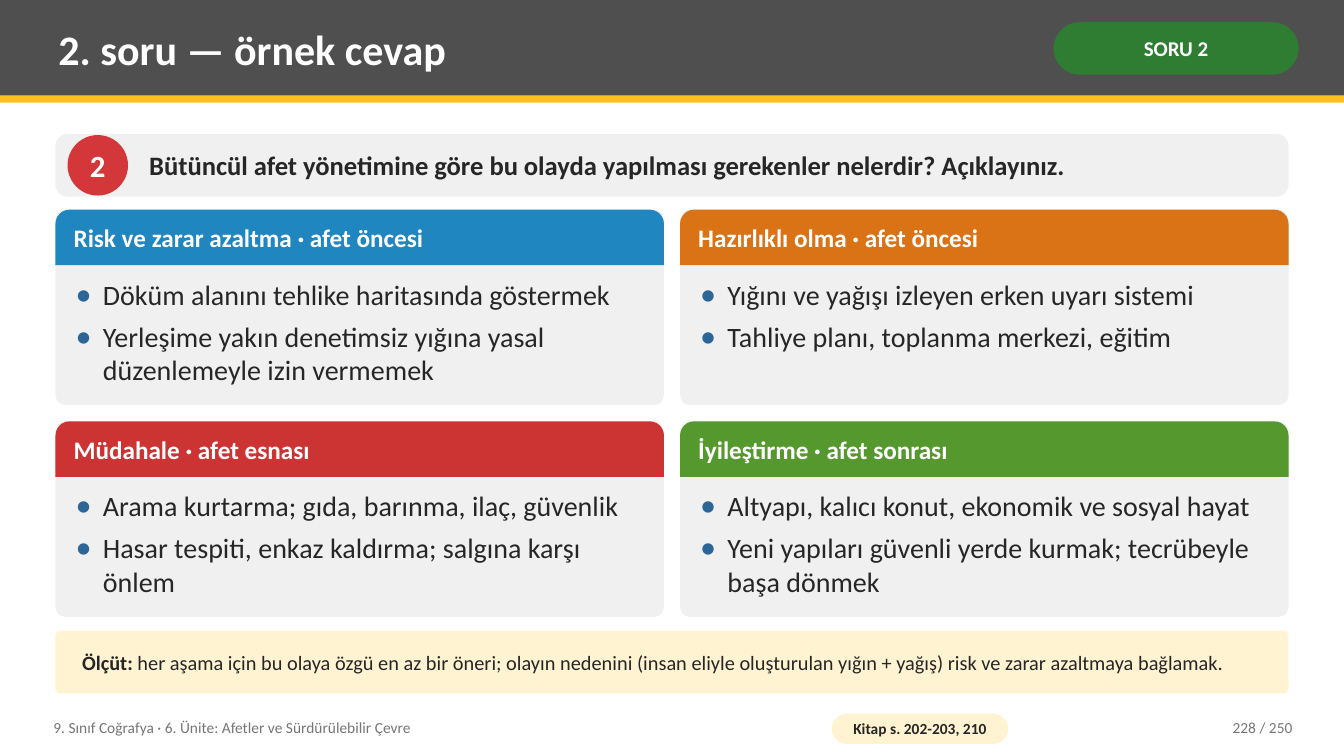
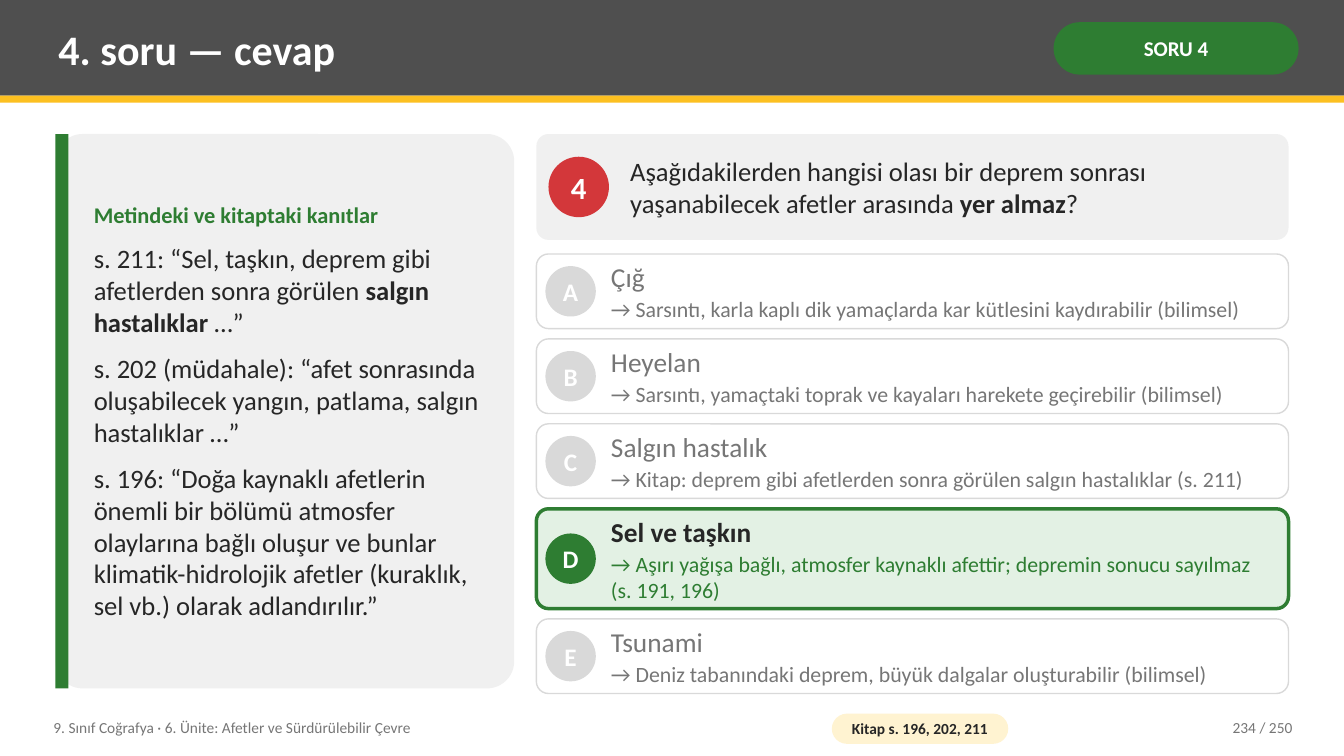
from lxml import etree
from pptx import Presentation
from pptx.dml.color import RGBColor
from pptx.enum.shapes import MSO_SHAPE
from pptx.enum.text import MSO_ANCHOR, MSO_AUTO_SIZE, PP_ALIGN
from pptx.oxml.ns import qn
from pptx.util import Inches, Pt

RECT, ROUNDED = MSO_SHAPE.RECTANGLE, MSO_SHAPE.ROUNDED_RECTANGLE
TAB, CIRCLE = MSO_SHAPE.ROUND_2_SAME_RECTANGLE, MSO_SHAPE.OVAL
LEFT, CENTER, RIGHT = PP_ALIGN.LEFT, PP_ALIGN.CENTER, PP_ALIGN.RIGHT
TOP, MIDDLE = MSO_ANCHOR.TOP, MSO_ANCHOR.MIDDLE
NO_AUTOFIT = MSO_AUTO_SIZE.NONE

FONT = "Calibri"
WHITE = RGBColor(0xFF, 0xFF, 0xFF)
INK = RGBColor(0x26, 0x26, 0x26)
MUTED = RGBColor(0x76, 0x76, 0x76)
BAND = RGBColor(0x4F, 0x4F, 0x4F)
YELLOW = RGBColor(0xFC, 0xC0, 0x21)
CREAM = RGBColor(0xFF, 0xF3, 0xD1)
PANEL = RGBColor(0xF0, 0xF0, 0xF0)
OUTLINE = RGBColor(0xD9, 0xD9, 0xD9)
GREEN = RGBColor(0x2E, 0x7D, 0x32)
PALE_GREEN = RGBColor(0xE3, 0xF1, 0xE4)
RED = RGBColor(0xD3, 0x37, 0x3A)
BULLET = RGBColor(0x2C, 0x66, 0x96)
MITIGATION = RGBColor(0x1F, 0x86, 0xBF)
PREPARATION = RGBColor(0xD9, 0x73, 0x16)
RESPONSE = RGBColor(0xCC, 0x33, 0x33)
RECOVERY = RGBColor(0x55, 0x99, 0x2E)

SLIDE_W, SLIDE_H = 13.33, 7.5
MARGIN, CONTENT_TOP, CONTENT_W = 0.55, 1.33, 12.23
TITLE_AND_BODY, TITLE_AND_FOUR_BODIES = 1, 4
UNIT = "9. Sınıf Coğrafya · 6. Ünite: Afetler ve Sürdürülebilir Çevre"


def set_bullet(paragraph, bulleted):
    """Give a paragraph a round bullet with a hanging indent, or none."""
    props = paragraph._p.get_or_add_pPr()
    indent = Inches(0.27) if bulleted else 0
    props.set("marL", str(indent))
    props.set("indent", str(-indent))
    if not bulleted:
        etree.SubElement(props, qn("a:buNone"))
        return
    color = etree.SubElement(props, qn("a:buClr"))
    etree.SubElement(color, qn("a:srgbClr"), val=str(BULLET))
    etree.SubElement(props, qn("a:buSzPct"), val="115000")
    etree.SubElement(props, qn("a:buFont"), typeface=FONT)
    etree.SubElement(props, qn("a:buChar"), char="•")


def write(shape, *paragraphs, size, color=INK, bold=False, align=LEFT,
          anchor=MIDDLE, insets=(0.08, 0.04), gap=0, wrap=True, bulleted=False):
    """Fill a shape with text; a paragraph is text or (text, own format).

    Words between ** marks are bold.
    """
    frame = shape.text_frame
    frame.auto_size = NO_AUTOFIT
    frame.word_wrap = wrap
    frame.vertical_anchor = anchor
    frame.margin_left = frame.margin_right = Inches(insets[0])
    frame.margin_top = frame.margin_bottom = Inches(insets[1])
    for i, entry in enumerate(paragraphs):
        text, own = (entry, {}) if isinstance(entry, str) else entry
        paragraph = frame.add_paragraph() if i else frame.paragraphs[0]
        set_bullet(paragraph, bulleted)
        paragraph.alignment = align
        paragraph.space_before = Pt(0)
        paragraph.space_after = Pt(gap if i < len(paragraphs) - 1 else 0)
        for j, part in enumerate(text.split("**")):
            if not part:
                continue
            run = paragraph.add_run()
            run.text = part
            run.font.name = FONT
            run.font.size = Pt(own.get("size", size))
            run.font.bold = j % 2 == 1 or own.get("bold", bold)
            run.font.color.rgb = own.get("color", color)


def add_box(slide, kind, x, y, w, h, fill, radius=None, line=None, line_width=1):
    box = slide.shapes.add_shape(kind, Inches(x), Inches(y), Inches(w), Inches(h))
    box.shadow.inherit = False
    box.fill.solid()
    box.fill.fore_color.rgb = fill
    if line is None:
        box.line.fill.background()
    else:
        box.line.color.rgb = line
        box.line.width = Pt(line_width)
    if radius is not None:
        box.adjustments[0] = radius / min(w, h)
    return box


def add_label(slide, x, y, w, h, *paragraphs, **text_format):
    label = slide.shapes.add_textbox(Inches(x), Inches(y), Inches(w), Inches(h))
    write(label, *paragraphs, **text_format)


def fill_placeholder(holder, x, y, w, h, *paragraphs, **text_format):
    """Move a placeholder in front of the shapes drawn so far and fill it."""
    holder.left, holder.top = Inches(x), Inches(y)
    holder.width, holder.height = Inches(w), Inches(h)
    holder.element.getparent().append(holder.element)
    write(holder, *paragraphs, **text_format)


def add_disc(slide, x, middle, diameter, text, fill, size):
    disc = add_box(slide, CIRCLE, x, middle - diameter / 2, diameter, diameter, fill)
    write(disc, text, size=size, color=WHITE, bold=True, align=CENTER,
          insets=(0, 0), wrap=False)


def add_header(slide, title, tag):
    add_box(slide, RECT, 0, 0, SLIDE_W, 0.95, BAND)
    add_box(slide, RECT, 0, 0.95, SLIDE_W, 0.07, YELLOW)
    fill_placeholder(slide.shapes.title, 0.5, 0.07, 9.75, 0.82, title,
                     size=30, color=WHITE, bold=True)
    pill = add_box(slide, ROUNDED, 10.45, 0.22, 2.43, 0.52, GREEN, radius=0.26)
    write(pill, tag, size=15, color=WHITE, bold=True, align=CENTER, insets=(0.05, 0.02))


def add_footer(slide, pages, number):
    add_label(slide, 0.45, 7.04, 7.6, 0.36, UNIT, size=11, color=MUTED)
    pill = add_box(slide, ROUNDED, 8.25, 7.08, 1.75, 0.3, CREAM, radius=0.15)
    write(pill, pages, size=11, bold=True, align=CENTER, insets=(0.04, 0))
    add_label(slide, 11.3, 7.04, 1.6, 0.36, f"{number} / 250",
              size=11, color=MUTED, align=RIGHT)


def add_question(slide, x, y, w, h, number, question, bold=False):
    add_box(slide, ROUNDED, x, y, w, h, PANEL, radius=0.12)
    add_disc(slide, x + 0.12, y + h / 2, 0.6, number, RED, 22)
    add_label(slide, x + 0.85, y, w - 0.95, h, question, size=19, bold=bold)


def add_phase_card(slide, holder, x, y, w, h, heading, color, measures):
    heading_h = 0.55
    add_box(slide, ROUNDED, x, y, w, h, PANEL, radius=0.1)
    add_box(slide, TAB, x, y, w, heading_h, color, radius=0.14)
    add_label(slide, x + 0.1, y, w - 0.2, heading_h, heading,
              size=18, color=WHITE, bold=True)
    fill_placeholder(holder, x + 0.12, y + heading_h + 0.08, w - 0.24,
                     h - heading_h - 0.16, *measures, size=20, anchor=TOP,
                     gap=6, bulleted=True)


def add_evidence(slide, holder, x, y, w, h, heading, quotes):
    add_box(slide, ROUNDED, x, y, w, h, PANEL, radius=0.27)
    add_box(slide, RECT, x, y, 0.13, h, GREEN)
    title = (heading, {"size": 16, "color": GREEN, "bold": True})
    fill_placeholder(holder, x + 0.3, y, w - 0.45, h, title, *quotes, size=19, gap=10)


def add_option(slide, x, y, w, h, letter, answer, reason, correct):
    if correct:
        fill, line, line_width, answer_color, reason_color = PALE_GREEN, GREEN, 2.5, INK, GREEN
    else:
        fill, line, line_width, answer_color, reason_color = WHITE, OUTLINE, 1, MUTED, MUTED
    add_box(slide, ROUNDED, x, y, w, h, fill, 0.12, line, line_width)
    add_disc(slide, x + 0.09, y + h / 2, 0.5, letter, line, 18)
    add_label(slide, x + 0.66, y, w - 0.74, h,
              (answer, {"size": 19.5, "color": answer_color, "bold": correct}),
              "→ " + reason, size=15.6, color=reason_color, gap=2)


def add_options(slide, x, y, w, h, options, correct_letter):
    """Stack the options with equal gaps; the correct one is taller."""
    heights = [0.99 if option[0] == correct_letter else 0.74 for option in options]
    gap = (h - sum(heights)) / (len(options) - 1)
    for option, height in zip(options, heights):
        add_option(slide, x, y, w, height, *option, correct=option[0] == correct_letter)
        y += height + gap


def build_sample_answer(prs):
    slide = prs.slides.add_slide(prs.slide_layouts[TITLE_AND_FOUR_BODIES])
    add_header(slide, "2. soru — örnek cevap", "SORU 2")
    add_question(slide, MARGIN, CONTENT_TOP, CONTENT_W, 0.62, "2",
                 "Bütüncül afet yönetimine göre bu olayda yapılması gerekenler "
                 "nelerdir? Açıklayınız.", bold=True)

    # Four phases of disaster management, two by two
    phases = [
        ("Risk ve zarar azaltma · afet öncesi", MITIGATION,
         ["Döküm alanını tehlike haritasında göstermek",
          "Yerleşime yakın denetimsiz yığına yasal düzenlemeyle izin vermemek"]),
        ("Hazırlıklı olma · afet öncesi", PREPARATION,
         ["Yığını ve yağışı izleyen erken uyarı sistemi",
          "Tahliye planı, toplanma merkezi, eğitim"]),
        ("Müdahale · afet esnası", RESPONSE,
         ["Arama kurtarma; gıda, barınma, ilaç, güvenlik",
          "Hasar tespiti, enkaz kaldırma; salgına karşı önlem"]),
        ("İyileştirme · afet sonrası", RECOVERY,
         ["Altyapı, kalıcı konut, ekonomik ve sosyal hayat",
          "Yeni yapıları güvenli yerde kurmak; tecrübeyle başa dönmek"]),
    ]
    gap, card_h = 0.16, 1.94
    card_w = (CONTENT_W - gap) / 2
    holders = [slide.placeholders[idx] for idx in (1, 2, 3, 4)]
    for i, (holder, phase) in enumerate(zip(holders, phases)):
        row, column = divmod(i, 2)
        add_phase_card(slide, holder, MARGIN + column * (card_w + gap),
                       2.08 + row * (card_h + gap), card_w, card_h, *phase)

    # Marking criterion
    criterion = add_box(slide, ROUNDED, MARGIN, 6.26, CONTENT_W, 0.62, CREAM, radius=0.05)
    write(criterion, "**Ölçüt:** her aşama için bu olaya özgü en az bir öneri; olayın "
          "nedenini (insan eliyle oluşturulan yığın + yağış) risk ve zarar azaltmaya "
          "bağlamak.", size=14.5, insets=(0.25, 0.08))
    add_footer(slide, "Kitap s. 202-203, 210", 228)


def build_choice_answer(prs):
    slide = prs.slides.add_slide(prs.slide_layouts[TITLE_AND_BODY])
    add_header(slide, "4. soru — cevap", "SORU 4")
    add_evidence(
        slide, slide.placeholders[1], MARGIN, CONTENT_TOP, 4.55, 5.5,
        "Metindeki ve kitaptaki kanıtlar",
        ["s. 211: “Sel, taşkın, deprem gibi afetlerden sonra görülen "
         "**salgın hastalıklar** …”",
         "s. 202 (müdahale): “afet sonrasında oluşabilecek yangın, patlama, "
         "salgın hastalıklar …”",
         "s. 196: “Doğa kaynaklı afetlerin önemli bir bölümü atmosfer olaylarına "
         "bağlı oluşur ve bunlar klimatik-hidrolojik afetler (kuraklık, sel vb.) "
         "olarak adlandırılır.”"])

    # Question with its five options
    x, w = 5.32, 7.46
    add_question(slide, x, CONTENT_TOP, w, 1.05, "4",
                 "Aşağıdakilerden hangisi olası bir deprem sonrası yaşanabilecek "
                 "afetler arasında **yer almaz**?")
    options = [
        ("A", "Çığ", "Sarsıntı, karla kaplı dik yamaçlarda kar kütlesini "
         "kaydırabilir (bilimsel)"),
        ("B", "Heyelan", "Sarsıntı, yamaçtaki toprak ve kayaları harekete "
         "geçirebilir (bilimsel)"),
        ("C", "Salgın hastalık", "Kitap: deprem gibi afetlerden sonra görülen "
         "salgın hastalıklar (s. 211)"),
        ("D", "Sel ve taşkın", "Aşırı yağışa bağlı, atmosfer kaynaklı afettir; "
         "depremin sonucu sayılmaz (s. 191, 196)"),
        ("E", "Tsunami", "Deniz tabanındaki deprem, büyük dalgalar "
         "oluşturabilir (bilimsel)"),
    ]
    add_options(slide, x, 2.52, w, 4.36, options, "D")
    add_footer(slide, "Kitap s. 196, 202, 211", 234)


def main():
    prs = Presentation()
    prs.slide_width, prs.slide_height = Inches(SLIDE_W), Inches(SLIDE_H)
    build_sample_answer(prs)
    build_choice_answer(prs)
    prs.save("out.pptx")


if __name__ == "__main__":
    main()
